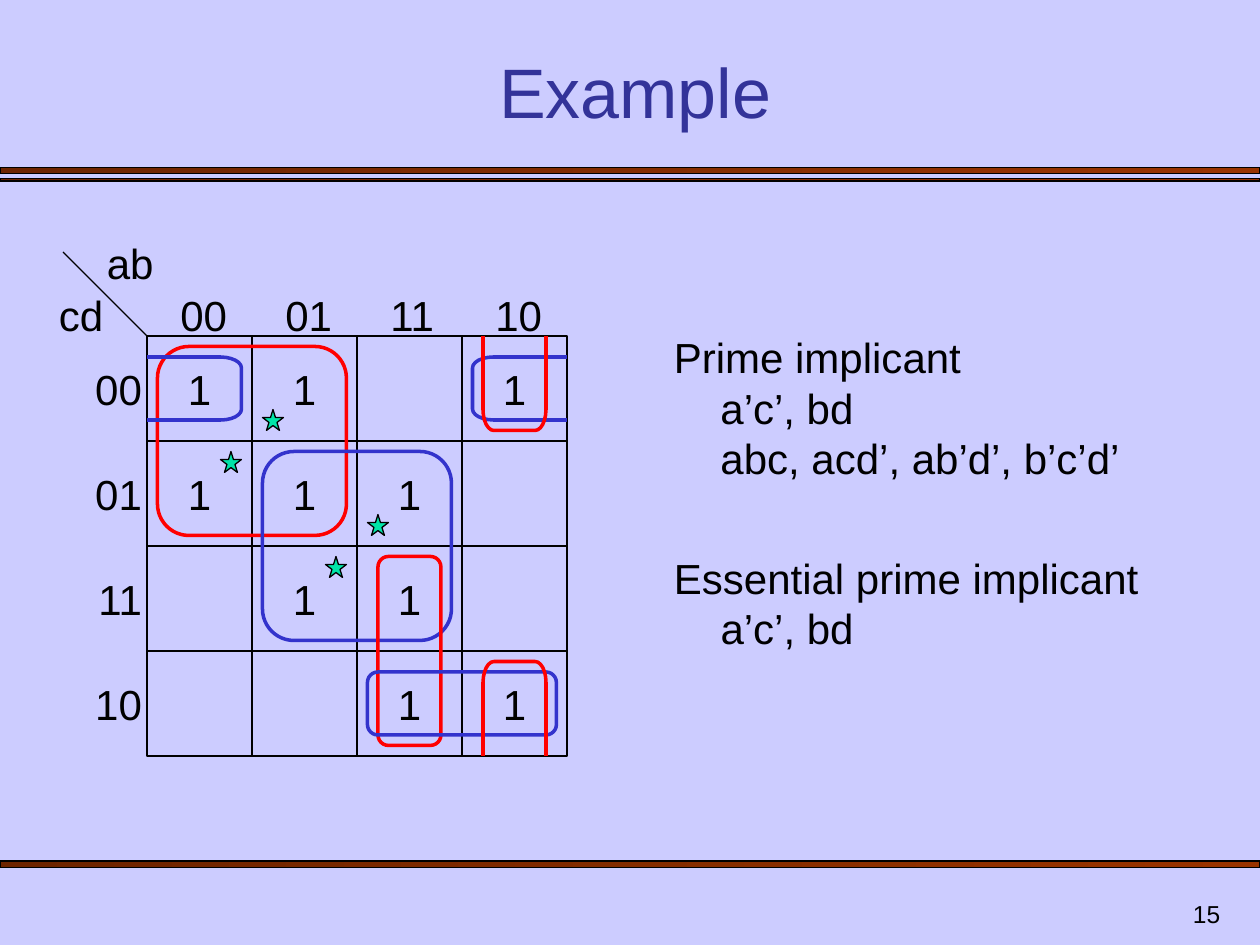
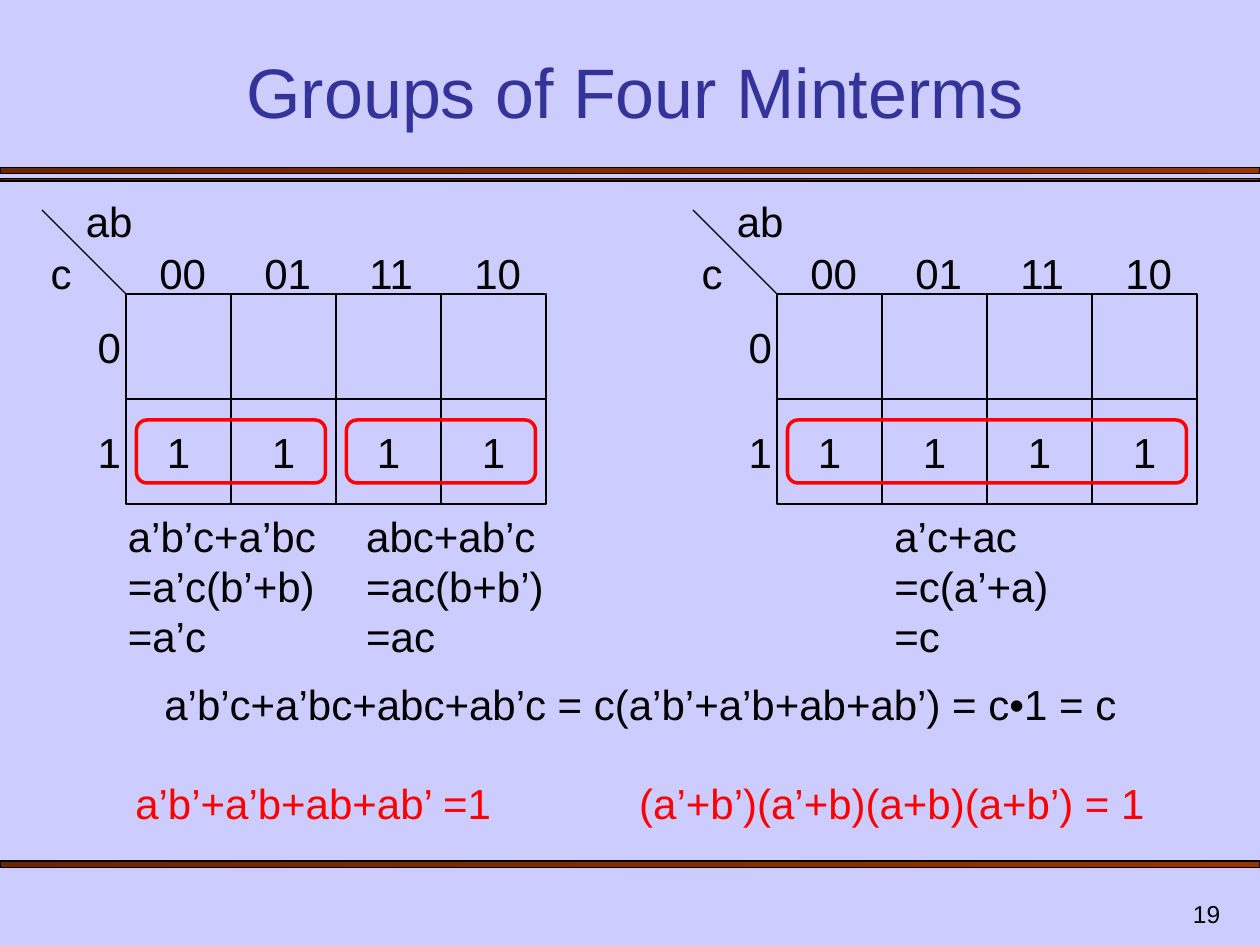
from math import cos, radians, sin

from lxml import etree
from pptx import Presentation
from pptx import util as u
from pptx.dml import color
from pptx.enum import shapes, text
from pptx.oxml import ns

WIDTH, HEIGHT = u.Inches(10), u.Inches(7.5)
UNIT = WIDTH / 120
CELL = 10
GRAY_CODE = ["00", "01", "11", "10"]
OPENING_ANGLES = {"right": 0, "bottom": 90, "left": 180, "top": 270}
LAVENDER, NAVY, BLACK = "CCCCFF", "333399", "000000"
RED, BLUE, MINT = "FF0000", "3333CC", "00E4A8"
BAND_STOPS = ["6D2400", "993300"]
LEFT, CENTER, RIGHT = text.PP_ALIGN.LEFT, text.PP_ALIGN.CENTER, text.PP_ALIGN.RIGHT
TOP, MIDDLE, BOTTOM = text.MSO_ANCHOR.TOP, text.MSO_ANCHOR.MIDDLE, text.MSO_ANCHOR.BOTTOM
PRESET = shapes.MSO_SHAPE


def rgb(hex_code):
    """Turn a hex string into a colour."""
    return color.RGBColor.from_string(hex_code)


def apply(target, values):
    """Set each named value on the target."""
    for name, value in values.items():
        setattr(target, name, value)


def units(*lengths):
    """Convert grid units to slide lengths."""
    return [u.Emu(round(length * UNIT)) for length in lengths]


def write(frame, lines, size=24, ink=BLACK, align=LEFT, anchor=TOP):
    """Write one paragraph for each line and return the paragraphs."""
    apply(frame, {"word_wrap": True, "vertical_anchor": anchor})
    frame.text = "\n".join(lines)
    for paragraph in frame.paragraphs:
        paragraph.alignment = align
        for run in paragraph.runs:
            apply(run.font, {"name": "Arial", "size": u.Pt(size)})
            run.font.color.rgb = rgb(ink)
    return frame.paragraphs


def label(slide, box, lines, **style):
    """Place a text box and return its paragraphs."""
    return write(slide.shapes.add_textbox(*units(*box)).text_frame, lines, **style)


def outline(slide, preset, box, ink=BLACK, weight=0.75, fill=None):
    """Place a preset shape with a line and an optional plain fill."""
    shape = slide.shapes.add_shape(preset, *units(*box))
    shape.shadow.inherit = False
    shape.line.color.rgb = rgb(ink)
    shape.line.width = u.Pt(weight)
    if fill:
        shape.fill.solid()
        shape.fill.fore_color.rgb = rgb(fill)
    else:
        shape.fill.background()
    return shape


def stroke(slide, start, end, ink=BLACK, weight=0.75):
    """Draw a straight line without a shadow."""
    line = slide.shapes.add_connector(
        shapes.MSO_CONNECTOR.STRAIGHT, *units(*start, *end))
    line.line.color.rgb = rgb(ink)
    line.line.width = u.Pt(weight)
    etree.SubElement(line._element.spPr, ns.qn("a:effectLst"))


def new_page(deck, title, number):
    """Add a slide with its background, bands, title and number."""
    slide = deck.slides.add_slide(deck.slide_layouts[6])
    slide.background.fill.solid()
    slide.background.fill.fore_color.rgb = rgb(LAVENDER)
    for top, thickness in [(15.95, 0.6), (17, 0.25), (82, 0.6)]:
        band = outline(slide, PRESET.RECTANGLE, (0, top, 120, thickness))
        band.fill.gradient()
        band.fill.gradient_angle = 0
        for stop, ink in zip(band.fill.gradient_stops, BAND_STOPS):
            stop.color.rgb = rgb(ink)
    label(slide, (92.4, 84, 25, 5), [number], size=14, align=RIGHT, anchor=BOTTOM)
    label(slide, (7, 5, 107, 8.2), [title], size=40, ink=NAVY, align=CENTER, anchor=BOTTOM)
    return slide


def karnaugh_map(slide, origin, row_variables, row_codes, minterms):
    """Draw a map whose cells start at the origin, with headings and ones."""
    x, y = origin
    stroke(slide, (x - 8, y - 8), origin)
    label(slide, (x - 5, y - 10, 8, 6), ["ab"])
    label(slide, (x - 10, y - 5, 5 + len(row_variables), 6), [row_variables], align=RIGHT)
    for column, code in enumerate(GRAY_CODE):
        label(slide, (x + column * CELL + 2, y - 5, 7.5, 6), [code])
    for row, code in enumerate(row_codes):
        top = y + row * CELL
        label(slide, (x - 9, top + 2, 9.7, 6), [code], align=RIGHT)
        for column, value in enumerate(minterms[row]):
            cell = outline(slide, PRESET.RECTANGLE, (x + column * CELL, top, CELL, CELL))
            if value == "1":
                write(cell.text_frame, [value], align=CENTER, anchor=MIDDLE)


def closed_loop(slide, origin, column, row, columns, rows, ink):
    """Ring a block of cells, with a wider inset across a single cell."""
    inset_x, inset_y = (2 if span == 1 else 1 for span in (columns, rows))
    ring = outline(slide, PRESET.ROUNDED_RECTANGLE, (
        origin[0] + column * CELL + inset_x, origin[1] + row * CELL + inset_y,
        columns * CELL - 2 * inset_x, rows * CELL - 2 * inset_y), ink, 2)
    ring.adjustments[0] = 0.167


def open_loop(slide, origin, column, row, edge, ink):
    """Ring half of a pair that wraps around the given map edge."""
    angle = OPENING_ANGLES[edge]
    dx, dy = round(cos(radians(angle))), round(sin(radians(angle)))
    x, y = (start + (index + 0.5) * CELL for start, index in zip(origin, (column, row)))
    bracket = outline(slide, PRESET.LEFT_BRACKET,
                      (x - 3 * dx - 1, y - 3 * dy - 3, 2, 6), ink, 2)
    bracket.rotation = angle
    bracket.adjustments[0] = 0.521
    for side in (-3, 3):
        start, end = ((x + reach * dx - side * dy, y + reach * dy + side * dx)
                      for reach in (-2, 5))
        stroke(slide, start, end, ink, 2)


def implicants(slide, box, heading, terms):
    """List terms indented under a heading."""
    for paragraph in label(slide, box, [heading, *terms])[1:]:
        paragraph._p.get_or_add_pPr().set("marL", str(u.Inches(0.37)))


def example_page(deck):
    """Build the four-variable map with its prime implicants."""
    slide = new_page(deck, "Example", "15")
    origin = x, y = 14, 32
    karnaugh_map(slide, origin, "cd", GRAY_CODE, ["11 1", "111 ", " 11 ", "  11"])
    for block in [(0, 0, 2, 2, RED), (1, 1, 2, 2, BLUE),
                  (2, 2, 1, 2, RED), (2, 3, 2, 1, BLUE)]:
        closed_loop(slide, origin, *block)
    for half in [(3, 0, "right", BLUE), (0, 0, "left", BLUE),
                 (3, 3, "bottom", RED), (3, 0, "top", RED)]:
        open_loop(slide, origin, *half)
    for across, down in [(7, 11), (11, 7), (17, 21), (21, 17)]:
        outline(slide, PRESET.STAR_5_POINT, (x + across, y + down, 2, 2), fill=MINT)
    implicants(slide, (63, 31, 47, 15.6), "Prime implicant",
               ["a’c’, bd", "abc, acd’, ab’d’, b’c’d’"])
    implicants(slide, (63, 52, 51, 11), "Essential prime implicant", ["a’c’, bd"])


def grouping(slide, origin, blocks, derivations):
    """Draw a two-row map, its loops and the algebra below it."""
    x, y = origin
    karnaugh_map(slide, origin, "c", ["0", "1"], ["    ", "1111"])
    for column, columns in blocks:
        closed_loop(slide, origin, column, 1, columns, 1, RED)
    for shift, lines in derivations:
        label(slide, (x + shift, y + 20, 22, 15.6), lines)


def four_minterms_page(deck):
    """Build the two maps that merge four minterms step by step."""
    slide = new_page(deck, "Groups of Four Minterms", "19")
    grouping(slide, (12, 28), [(0, 2), (2, 2)], [
        (-1, ["a’b’c+a’bc", "=a’c(b’+b)", "=a’c"]),
        (21.7, ["abc+ab’c", "=ac(b+b’)", "=ac"])])
    grouping(slide, (74, 28), [(0, 4)], [(10, ["a’c+ac", "=c(a’+a)", "=c"])])
    label(slide, (9, 64, 104, 6),
          ["a’b’c+a’bc+abc+ab’c = c(a’b’+a’b+ab+ab’) = c•1 = c"], align=CENTER)
    for left, width, identity in [(11.7, 40, "a’b’+a’b+ab+ab’ =1"),
                                  (59.7, 53, "(a’+b’)(a’+b)(a+b)(a+b’) = 1")]:
        label(slide, (left, 73.5, width, 6), [identity], ink=RED)


def main():
    """Build and save the deck."""
    deck = Presentation()
    apply(deck, {"slide_width": WIDTH, "slide_height": HEIGHT})
    example_page(deck)
    four_minterms_page(deck)
    deck.save("out.pptx")


if __name__ == "__main__":
    main()
